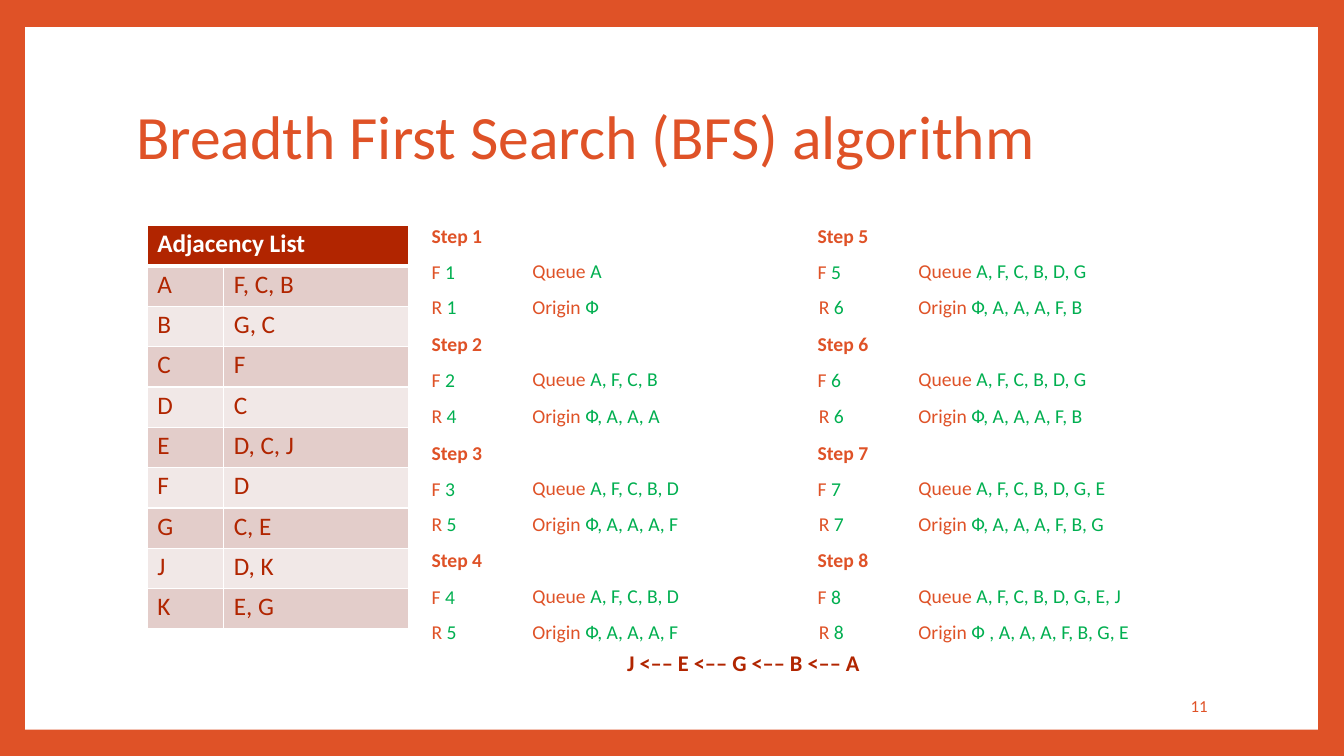
from pptx import Presentation
from pptx.dml.color import RGBColor
from pptx.enum.shapes import MSO_SHAPE as Preset
from pptx.enum.text import MSO_ANCHOR as Anchor, MSO_AUTO_SIZE as AutoSize, PP_ALIGN as Align
from pptx.oxml import parse_xml
from pptx.oxml.ns import nsdecls
from pptx.util import Inches, Pt

COLORS = {
    "orange": "DF5227", "white": "FFFFFF", "green": "00AF50",
    "rust": "B12500", "rose": "E3CDCA", "blush": "F1E8E7",
}
FONT = "Calibri"

ADJACENCY = [
    ("A", "F, C, B"), ("B", "G, C"), ("C", "F"), ("D", "C"), ("E", "D, C, J"),
    ("F", "D"), ("G", "C, E"), ("J", "D, K"), ("K", "E, G"),
]

# Rear index, queue and origin after each step; the front index is the step number
STEPS = [
    (1, "A", "Ф"),
    (4, "A, F, C, B", "Ф, A, A, A"),
    (5, "A, F, C, B, D", "Ф, A, A, A, F"),
    (5, "A, F, C, B, D", "Ф, A, A, A, F"),
    (6, "A, F, C, B, D, G", "Ф, A, A, A, F, B"),
    (6, "A, F, C, B, D, G", "Ф, A, A, A, F, B"),
    (7, "A, F, C, B, D, G, E", "Ф, A, A, A, F, B, G"),
    (8, "A, F, C, B, D, G, E, J", "Ф , A, A, A, F, B, G, E"),
]
STEPS_PER_COLUMN = 4


def color(name):
    return RGBColor.from_string(COLORS[name])


def apply_format(target, values):
    for name, value in values.items():
        setattr(target, name, value)


def fill_with(item, name):
    item.fill.solid()
    item.fill.fore_color.rgb = color(name)


def write_spans(para, spans, size, bold=False):
    for text, name in spans:
        span = para.add_run()
        span.text = text
        apply_format(span.font, {"name": FONT, "size": Pt(size), "bold": bold})
        span.font.color.rgb = color(name)


def set_margins(item, left=0, top=0, right=0):
    apply_format(item, {
        "margin_left": Inches(left), "margin_top": Inches(top),
        "margin_right": Inches(right), "margin_bottom": 0,
        "vertical_anchor": Anchor.TOP,
    })


def add_panel(page, position, left, top, width, height, name):
    """Place a plain rectangle behind the content."""
    panel = page.shapes.add_shape(
        Preset.RECTANGLE, Inches(left), Inches(top), Inches(width), Inches(height))
    panel.shadow.inherit = False
    fill_with(panel, name)
    panel.line.fill.background()
    page.shapes._spTree.insert(position, panel._element)


def add_title(page, text):
    title = page.shapes.title
    apply_format(title, {"left": Inches(1.34), "top": Inches(0.95),
                         "width": Inches(9.24), "height": Inches(0.76)})
    frame = title.text_frame
    apply_format(frame, {"word_wrap": True, "auto_size": AutoSize.NONE})
    set_margins(frame, left=0.01, top=0.02)
    para = frame.paragraphs[0]
    para.alignment = Align.LEFT
    write_spans(para, [(text, "orange")], 44)


def add_label(page, text, left, top, width, height, size, name, bold=False):
    box = page.shapes.add_textbox(
        Inches(left), Inches(top), Inches(width), Inches(height))
    box.text_frame.word_wrap = True
    set_margins(box.text_frame)
    para = box.text_frame.paragraphs[0]
    write_spans(para, [(text, name)], size, bold)
    return para


def add_grid(page, left, top, widths, heights):
    frame = page.shapes.add_table(
        len(heights), len(widths), Inches(left), Inches(top),
        Inches(sum(widths)), Inches(sum(heights)))
    grid = frame.table
    for column, width in zip(grid.columns, widths):
        column.width = Inches(width)
    for row, height in zip(grid.rows, heights):
        row.height = Inches(height)
    return grid


def set_borders(cell, **widths):
    """Draw white cell borders, with widths in points by side."""
    props = cell._tc.get_or_add_tcPr()
    for position, (side, width) in enumerate(widths.items()):
        props.insert(position, parse_xml(
            f'<a:{side} {nsdecls("a")} w="{Pt(width)}"><a:solidFill>'
            f'<a:srgbClr val="{COLORS["white"]}"/></a:solidFill></a:{side}>'))


def add_adjacency_table(page):
    grid = add_grid(page, 1.46, 2.24, [0.76, 1.83], [0.4] * (len(ADJACENCY) + 1))
    grid.cell(0, 0).merge(grid.cell(0, 1))
    for row, texts in enumerate([("Adjacency List", "")] + ADJACENCY):
        header = row == 0
        shade = "rust" if header else "rose" if row % 2 else "blush"
        for column, text in enumerate(texts):
            cell = grid.cell(row, column)
            set_margins(cell, left=0.1, top=0.03)
            fill_with(cell, shade)
            set_borders(cell, lnL=1, lnR=1, lnT=3 if row == 1 else 1,
                        lnB=3 if header else 1)
            if text:
                write_spans(cell.text_frame.paragraphs[0],
                            [(text, "white" if header else "rust")], 18, header)


def write_step(grid, number, rear, queue, origin):
    """Fill the two rows and two columns that belong to one step."""
    half, place = divmod(number - 1, STEPS_PER_COLUMN)
    row, column = 2 * place, 2 * half
    first = place == 0
    step, front_queue = grid.cell(row, column), grid.cell(row, column + 1)
    back, back_origin = grid.cell(row + 1, column), grid.cell(row + 1, column + 1)
    indent = 0.67 if half else 0.03

    # Step heading and front index
    set_margins(step, left=indent, top=0 if first else 0.03)
    heading = step.text_frame.paragraphs[0]
    write_spans(heading, [(f"Step {number}", "orange")], 14, True)
    if first:
        heading.line_spacing = Pt(13.2)
    front = step.text_frame.add_paragraph()
    front.space_before = Pt(8.9)
    write_spans(front, [("F ", "orange"), (str(number), "green")], 14)

    # Queue, rear index and origin
    set_margins(front_queue, left=0.23, top=0.3 if first else 0.38)
    set_margins(back, left=0 if half else indent, top=0.03, right=0.51 if half else 0)
    set_margins(back_origin, left=0.23, top=0.03)
    for cell, label, value in [(front_queue, "Queue ", queue),
                               (back, "R ", str(rear)),
                               (back_origin, "Origin ", origin)]:
        para = cell.text_frame.paragraphs[0]
        write_spans(para, [(label, "orange"), (value, "green")], 14)
        if place == STEPS_PER_COLUMN - 1 and cell is not front_queue:
            para.line_spacing = Pt(16.6)
    if half:
        back.text_frame.paragraphs[0].alignment = Align.RIGHT
    for cell in (step, front_queue, back, back_origin):
        fill_with(cell, "white")


def add_steps_table(page):
    grid = add_grid(page, 4.25, 2.28, [0.8, 2.39, 1.44, 2.39],
                    [0.63, 0.36, 0.72, 0.36, 0.71, 0.36, 0.72, 0.28])
    for number, values in enumerate(STEPS, 1):
        write_step(grid, number, *values)


def main():
    deck = Presentation()
    apply_format(deck, {"slide_width": Inches(13.33), "slide_height": Inches(7.5)})
    page = deck.slides.add_slide(deck.slide_layouts[5])

    # Frame around the page
    add_panel(page, 2, 0, 0, 13.33, 7.5, "orange")
    add_panel(page, 3, 0.25, 0.27, 12.82, 6.97, "white")

    # Title and tables
    add_title(page, "Breadth First Search (BFS) algorithm")
    add_steps_table(page)
    add_adjacency_table(page)

    # Resulting route and page number
    add_label(page, "J <–– E <–– G <–– B <–– A", 6.22, 6.44, 2.37, 0.29, 16, "rust", True)
    page_number = add_label(page, "11", 11.81, 6.93, 0.24, 0.19, 12, "orange")
    page_number.line_spacing = Pt(12.3)

    deck.save("out.pptx")


if __name__ == "__main__":
    main()
